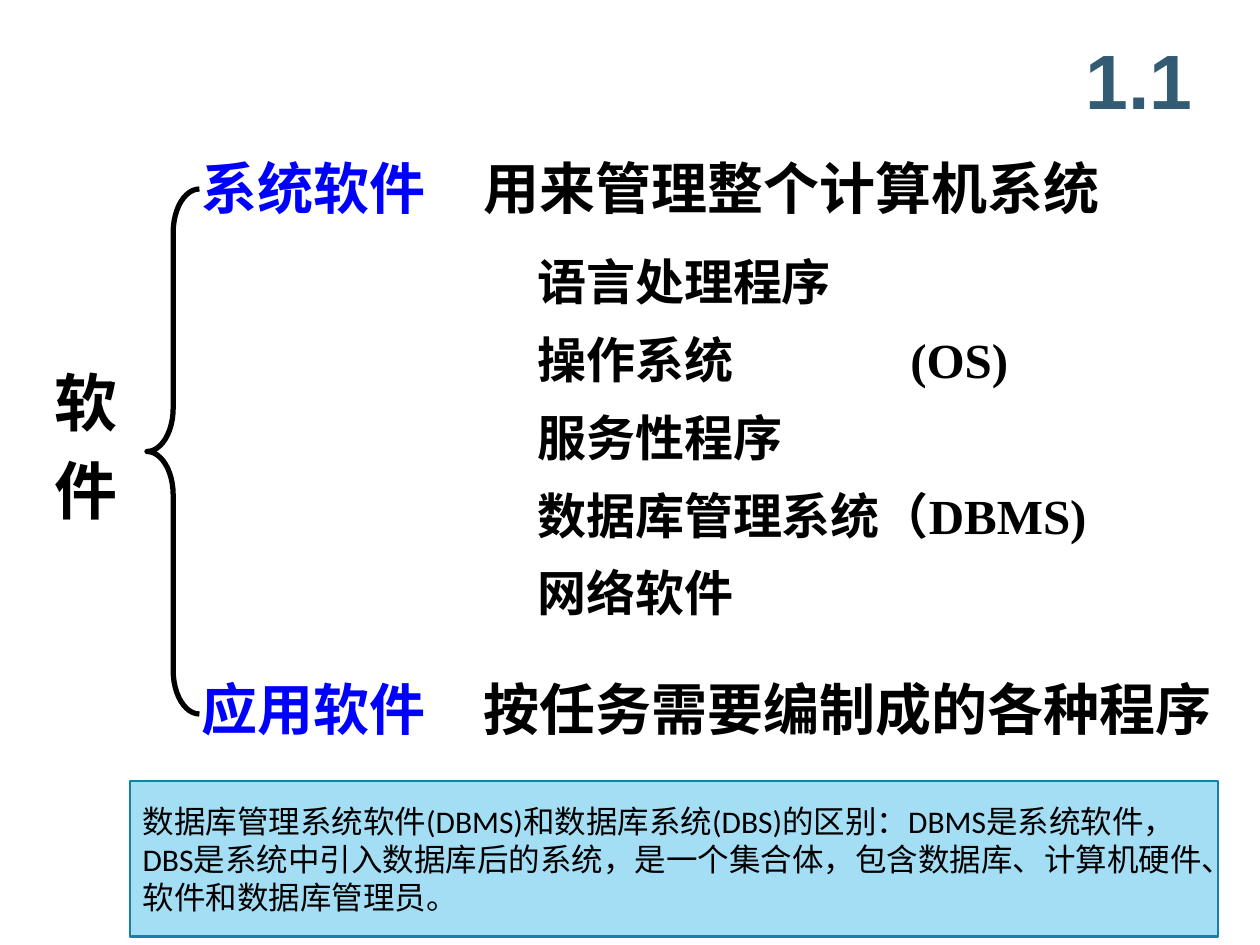
from pptx import Presentation
from pptx.dml.color import RGBColor
from pptx.enum.shapes import MSO_SHAPE as Shape
from pptx.enum.text import MSO_ANCHOR as Anchor, PP_ALIGN as Align
from pptx.oxml import parse_xml
from pptx.oxml.ns import nsdecls
from pptx.util import Inches, Pt

UNIT = Inches(10) // 120  # the slide is a grid of 120 columns and 90 rows
SERIF = "Times New Roman"
BLACK, BLUE = "000000", "0000FF"


def grid(*cells):
    return [round(n * UNIT) for n in cells]


def color(code):
    return RGBColor.from_string(code)


def style(para, size, font=SERIF, ink=BLACK, bold=True):
    for run in para.runs:
        run.font.size = Pt(size)
        run.font.name = font
        run.font.bold = bold
        run.font.color.rgb = color(ink)


def label(slide, box, text, size, ink=BLACK, left=0.1, wrap=True):
    frame = slide.shapes.add_textbox(*grid(*box)).text_frame
    frame.word_wrap = wrap
    frame.margin_left = Inches(left)
    frame.text = text
    for para in frame.paragraphs:
        style(para, size, ink=ink)
    return frame


def add_title(slide, box, text):
    title = slide.shapes.title
    title.left, title.top, title.width, title.height = grid(*box)
    frame = title.text_frame
    frame.text = text
    frame.vertical_anchor = Anchor.MIDDLE
    frame.paragraphs[0].alignment = Align.CENTER
    style(frame.paragraphs[0], 44, "Arial", "335B74")


def add_brace(slide, box):
    brace = slide.shapes.add_shape(Shape.LEFT_BRACE, *grid(*box))
    brace.shadow.inherit = False
    brace.adjustments[0] = 0.83
    brace.fill.background()
    brace.line.color.rgb = color(BLACK)
    brace.line.width = Pt(3)


def add_root(slide, box, text):
    frame = label(slide, box, text, 36, wrap=False)
    for para in frame.paragraphs[1:]:
        para.space_before = Pt(7.2)


def add_branch(slide, box, name, role):
    """Name in blue on the left, what it is for on the right."""
    x, y, w, h = box
    split = 28
    label(slide, (x, y, split + 2, h), name, 32, BLUE)
    label(slide, (x + split, y, w - split, h), role, 32, left=0)


def add_kinds(slide, box, names):
    x, y, w, h = box
    step = h / len(names)
    for row, name in enumerate(names):
        frame = label(slide, (x, y + row * step, w, 6.8), name, 28)
        if "\t" in name:
            props = frame.paragraphs[0]._p.get_or_add_pPr()
            stop = f'<a:tab pos="{Inches(2.96)}" algn="l"/>'
            props.append(parse_xml(
                f'<a:tabLst {nsdecls("a")}>{stop}</a:tabLst>'))


def add_note(slide, box, text):
    note = slide.shapes.add_shape(Shape.RECTANGLE, *grid(*box))
    note.shadow.inherit = False
    note.fill.solid()
    note.fill.fore_color.rgb = color("A4DEF4")
    note.line.color.rgb = color("1580A9")
    note.line.width = Pt(1.25)
    frame = note.text_frame
    frame.word_wrap = True
    frame.vertical_anchor = Anchor.MIDDLE
    frame.text = text
    frame.paragraphs[0].alignment = Align.LEFT
    style(frame.paragraphs[0], 18, "Calibri", bold=False)


def main():
    deck = Presentation()
    deck.slide_width, deck.slide_height = grid(120, 90)
    slide = deck.slides.add_slide(deck.slide_layouts[5])
    add_title(slide, (101, 2, 15, 11), "1.1")
    add_root(slide, (4, 34, 8.4, 17), "软\n件")
    add_brace(slide, (14, 18, 5, 50))
    add_branch(slide, (18, 14, 98, 7.6), "系统软件", "用来管理整个计算机系统")
    add_kinds(slide, (50, 23.4, 60.6, 37),
              ["语言处理程序", "操作系统\t(OS)", "服务性程序",
               "数据库管理系统（DBMS)", "网络软件"])
    add_branch(slide, (18, 63.6, 102, 7.6), "应用软件", "按任务需要编制成的各种程序")
    add_note(slide, (12.4, 74.4, 103.6, 14.8),
             "数据库管理系统软件(DBMS)和数据库系统(DBS)的区别："
             "DBMS是系统软件，DBS是系统中引入数据库后的系统，是一个集合体，"
             "包含数据库、计算机硬件、软件和数据库管理员。")
    deck.save("out.pptx")


if __name__ == "__main__":
    main()
